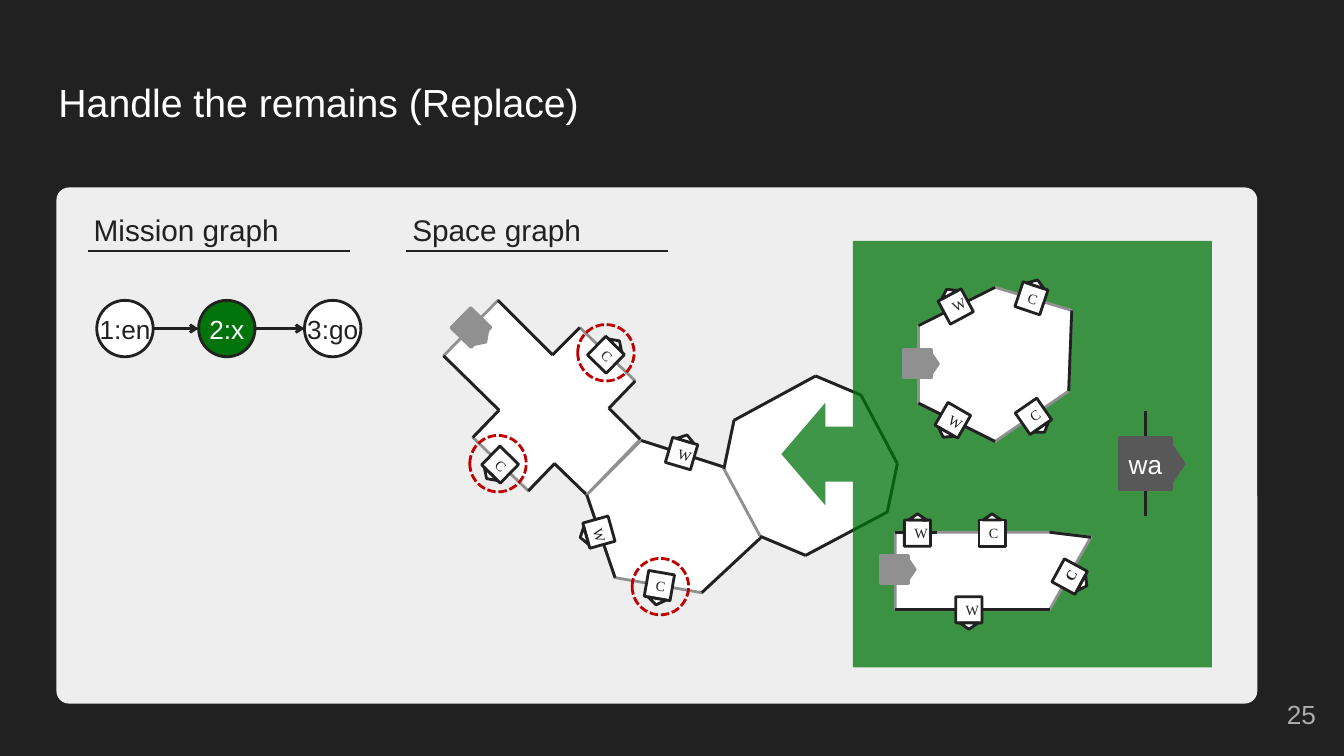
import math

from pptx import Presentation
from pptx import util as u
from pptx.dml.color import RGBColor
from pptx.enum import dml, shapes, text
from pptx.oxml import ns, xmlchemy

COLORS = {"dark": "212121", "panel": "EEEEEE", "white": "FFFFFF", "gray": "909090",
          "number": "ADADAD", "green": "00740B", "red": "C00000", "wall": "585858"}
CELL = u.Inches(1)  # the slide is a grid of 13.33 columns by 7.5 rows
NODE = 0.56         # diameter of graph nodes and highlight rings
DOOR, KEY = 0.26, 0.28
KIND = shapes.MSO_SHAPE
ALIGN = text.PP_ALIGN


def grid(*values):
    return [round(v * CELL) for v in values]


def rgb(name):
    return RGBColor.from_string(COLORS[name])


def paint(shape, fill=None, line=None):
    shape.shadow.inherit = False
    if fill:
        shape.fill.solid()
        shape.fill.fore_color.rgb = rgb(fill)
    else:
        shape.fill.background()
    if line:
        shape.line.color.rgb = rgb(line)
        shape.line.width = u.Pt(2)
    else:
        shape.line.fill.background()
    return shape


def centered(sp, kind, cx, cy, w, h, fill=None, line=None):
    shape = sp.add_shape(kind, *grid(cx - w / 2, cy - h / 2, w, h))
    return paint(shape, fill, line)


def write(shape, words, size, color, align=ALIGN.LEFT, font="Arial", inset=None, bold=None,
          anchor=text.MSO_ANCHOR.MIDDLE):
    tf = shape.text_frame
    tf.word_wrap = True
    tf.vertical_anchor = anchor
    if inset is not None:
        tf.margin_left = tf.margin_top = tf.margin_right = tf.margin_bottom = u.Inches(inset)
    p = tf.paragraphs[0]
    p.text, p.alignment = words, align
    p.font.name, p.font.size, p.font.bold = font, u.Pt(size), bold
    p.font.color.rgb = rgb(color)


def label(sp, words, cx, cy, w, color):
    box = sp.add_textbox(*grid(cx - w / 2, cy - 0.26, w, 0.52))
    write(box, words, 18.7, color, ALIGN.CENTER, inset=0.13)


def line(sp, start, end, width=2, arrow=False):
    c = sp.add_connector(shapes.MSO_CONNECTOR.STRAIGHT, *grid(*start, *end))
    c.line.color.rgb = rgb("dark")
    c.line.width = u.Pt(width)
    if arrow:
        tail = xmlchemy.OxmlElement("a:tailEnd")
        tail.set("type", "arrow")
        c.line._get_or_add_ln().append(tail)
    c.element.spPr.append(xmlchemy.OxmlElement("a:effectLst"))


def marker(sp, cx, cy, side, rot, turn, fill, edge):
    """Square with a triangle on the side that the turn points to."""
    square = centered(sp, KIND.RECTANGLE, cx, cy, side, side, fill, edge)
    square.rotation = rot
    angle, height = math.radians(rot + turn), 0.24 * side
    reach = (side + height) / 2
    tip = centered(sp, KIND.ISOSCELES_TRIANGLE, cx + reach * math.sin(angle),
                   cy - reach * math.cos(angle), 0.7 * side, height, fill, edge)
    tip.rotation = (rot + turn) % 360
    return square


def room(s, box, corners, walls, doors=(), key=None):
    """walls: share of each edge that is solid; doors: letter, x, y, rotation, turn."""
    sp = s.shapes.add_group_shape().shapes
    x, y = box
    pts = [(x + px, y + py) for px, py in corners]
    outline = sp.build_freeform(*grid(*pts[0]))
    outline.add_line_segments([grid(*pt) for pt in pts[1:]], close=True)
    paint(outline.convert_to_shape(), "white", "gray")
    for edge, share in walls.items():
        (ax, ay), (bx, by) = pts[edge], pts[(edge + 1) % len(pts)]
        line(sp, (ax, ay), (ax + share * (bx - ax), ay + share * (by - ay)))
    if key:
        kx, ky, rot = key
        marker(sp, x + kx, y + ky, KEY, rot, 90, "gray", "gray")
    for letter, dx, dy, rot, turn, *bold in doors:
        door = marker(sp, x + dx, y + dy, DOOR, rot, turn, "white", "dark")
        write(door, letter, 10.1, "dark", ALIGN.CENTER, "Times New Roman", bold=bool(bold))


def heading(s, box, words):
    sp = s.shapes.add_group_shape().shapes
    x, y = box
    write(sp.add_textbox(*grid(x, y, 2.73, 0.64)), words, 21.3, "dark", inset=0.13)
    line(sp, (x + 0.07, y + 0.53), (x + 2.67, y + 0.53), 1.25)


def mission_graph(s, box):
    heading(s, box, "Mission graph")
    sp = s.shapes.add_group_shape().shapes
    x, y = box[0], box[1] + 1.3
    nodes = [("1:en", x + 0.44, "white", "dark"), ("2:x", x + 1.45, "green", "white"),
             ("3:go", x + 2.5, "white", "dark")]
    for words, cx, fill, color in nodes:
        centered(sp, KIND.OVAL, cx, y, NODE, NODE, fill, "dark")
        label(sp, words, cx, y, 1.04, color)
    for (_, a, *_), (_, b, *_) in zip(nodes, nodes[1:]):
        line(sp, (a + NODE / 2, y), (b - NODE / 2, y), arrow=True)


def space_graph(s, box):
    # Cross-shaped start room
    room(s, box, [(1.79, 1.29), (2.34, 1.82), (2.08, 2.09), (2.39, 2.4), (1.86, 2.95),
                  (1.54, 2.64), (1.28, 2.91), (0.73, 2.38), (0.99, 2.11), (0.44, 1.57),
                  (0.98, 1.02), (1.52, 1.56)],
         dict.fromkeys((1, 2, 4, 5, 7, 8, 10, 11), 1),
         [("C", 2.05, 1.56, 44.3, 0), ("C", 1.0, 2.65, 44.3, 180)], (0.71, 1.29, 44.3))
    # Six-sided middle room
    room(s, box, [(3.21, 2.67), (3.59, 3.37), (3, 3.92), (2.14, 3.77), (1.86, 2.95),
                  (2.4, 2.41)],
         dict.fromkeys((1, 3, 5), 1),
         [("C", 2.58, 3.85, 9.9, 180), ("W", 1.98, 3.32, 74.4, 180), ("W", 2.8, 2.54, 16.4, 0)])
    # Eight-sided end room
    room(s, box, [(3.32, 2.21), (4.13, 1.77), (4.58, 1.96), (4.94, 2.64), (4.84, 3.12),
                  (4.03, 3.55), (3.58, 3.36), (3.22, 2.69)],
         dict.fromkeys((0, 1, 2, 3, 4, 5, 7), 1))
    # Rings around the remaining doors
    for cx, cy in [(0.98, 2.64), (2.05, 1.54), (2.59, 3.86)]:
        ring = centered(s.shapes, KIND.OVAL, box[0] + cx, box[1] + cy, NODE, NODE, line="red")
        ring.line.dash_style = dml.MSO_LINE.SQUARE_DOT
    heading(s, box, "Space graph")


def replacements(s, box):
    x, y = box
    # Translucent callout
    callout = paint(s.shapes.add_shape(KIND.LEFT_ARROW_CALLOUT, *grid(x, y, 4.27, 4.23)), "green")
    for i, share in enumerate((0.129, 0.12, 0.103, 0.834)):
        callout.adjustments[i] = share
    alpha = xmlchemy.OxmlElement("a:alpha")
    alpha.set("val", "75000")
    callout.element.spPr.find(ns.qn("a:solidFill"))[0].append(alpha)
    # Candidate rooms
    room(s, box, [(2.12, 0.46), (2.88, 0.69), (2.85, 1.49), (2.12, 1.99), (1.36, 1.61),
                  (1.36, 0.84)],
         dict.fromkeys((1, 3, 5), 1),
         [("C", 2.48, 0.57, 18.5, 0), ("C", 2.5, 1.74, 325.3, 180),
          ("W", 1.7, 1.78, 29.8, 180), ("W", 1.73, 0.65, 331.8, 0)], (1.35, 1.22, 0))
    room(s, box, [(2.66, 2.89), (3.07, 2.94), (2.66, 3.66), (1.13, 3.66), (1.13, 2.89)],
         {0: 1, 2: 1, 4: 0.27},
         [("W", 1.35, 2.9, 0.2, 0), ("C", 2.09, 2.9, 0, 0),
          ("C", 2.86, 3.33, 298.6, 180, True), ("W", 1.86, 3.66, 359.9, 180)], (1.12, 3.26, 0))
    # Wall piece
    sp = s.shapes.add_group_shape().shapes
    cx, cy = x + 3.61, y + 2.21
    line(sp, (cx, cy - 0.52), (cx, cy + 0.52))
    marker(sp, cx, cy, 0.52, 0, 90, "wall", "wall")
    label(sp, "wa", cx, cy, 0.75, "white")


def frame(s):
    s.background.fill.solid()
    s.background.fill.fore_color.rgb = rgb("dark")
    title = s.shapes.title
    title.left, title.top, title.width, title.height = grid(0.45, 0.65, 12.42, 0.84)
    write(title, "Handle the remains (Replace)", 28, "white", inset=0.13,
          anchor=text.MSO_ANCHOR.TOP)
    panel = s.shapes.add_shape(KIND.ROUNDED_RECTANGLE, *grid(0.56, 1.86, 11.91, 5.12))
    panel.adjustments[0] = 0.024
    paint(panel, "panel")
    number = s.shapes.add_textbox(*grid(12.35, 6.8, 0.8, 0.57))
    write(number, "25", 18.7, "number", ALIGN.RIGHT, inset=0.1)


def main():
    prs = Presentation()
    prs.slide_width, prs.slide_height = grid(13.33, 7.5)
    s = prs.slides.add_slide(prs.slide_layouts[5])
    frame(s)
    mission_graph(s, (0.8, 1.96))
    space_graph(s, (3.96, 1.96))
    replacements(s, (7.75, 2.39))
    prs.save("out.pptx")


if __name__ == "__main__":
    main()
